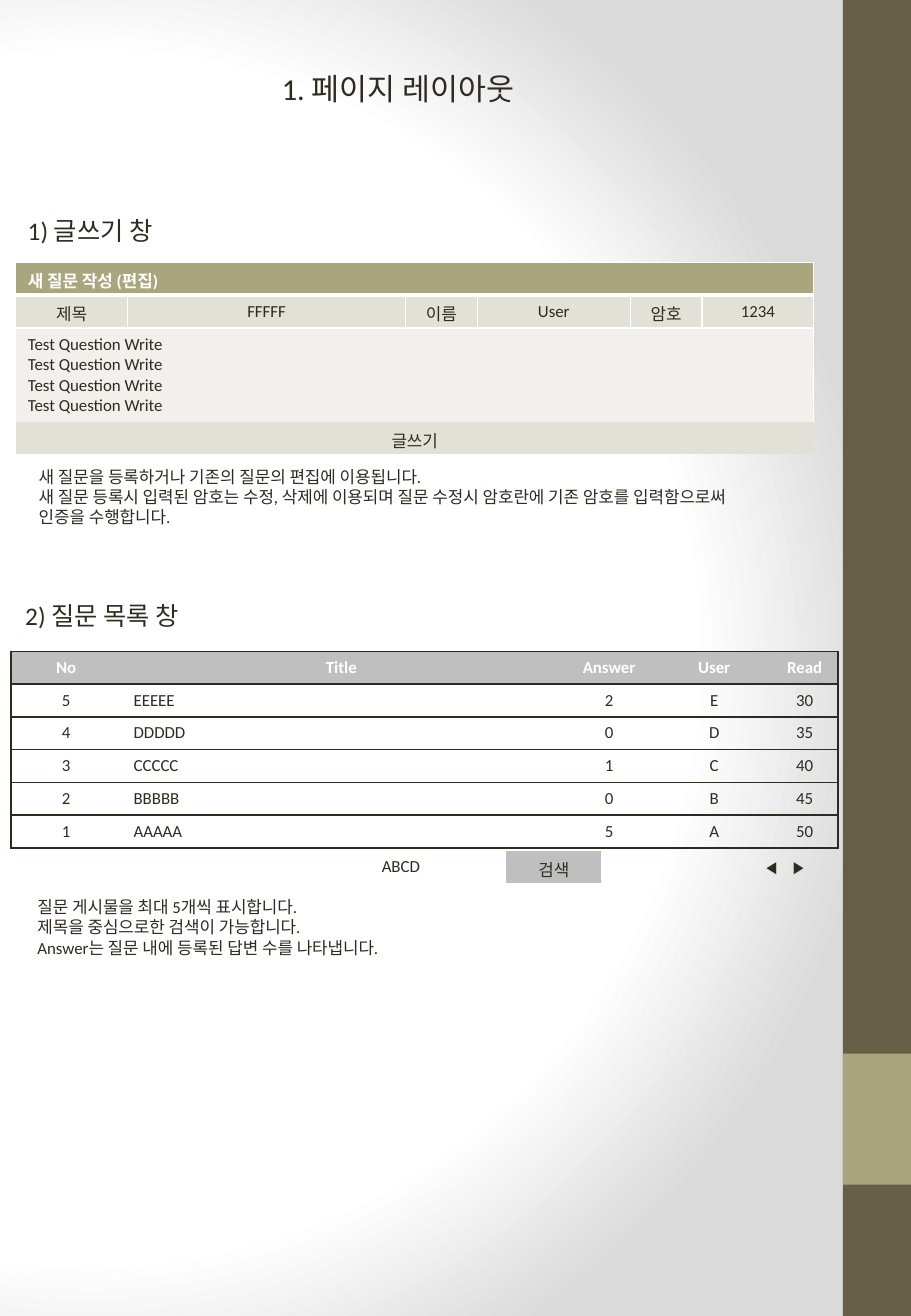
from pptx import Presentation
from pptx.dml.color import RGBColor
from pptx.enum.shapes import MSO_SHAPE
from pptx.enum.text import MSO_ANCHOR, MSO_AUTO_SIZE, PP_ALIGN
from pptx.oxml import parse_xml
from pptx.oxml.ns import nsdecls, qn
from pptx.util import Inches, Pt

COLORS = {"text": "2F2B20", "line": "2E2A1F", "white": "FFFFFF", "shade": "DADADA",
          "brown": "675E47", "olive": "A9A57C", "gray": "BFBFBF",
          "band": "E2E1D7", "pale": "F1F0EC"}
FONT = "Calibri"
NO_STYLE = "{2D5ABB26-0587-4C30-8999-92F81FD0307C}"
ROW = 0.27


def color(name):
    """Return the named colour."""
    return RGBColor.from_string(COLORS[name])


class Page:
    """Holds the text style and the current slide."""

    def __init__(self, slide, size=10):
        """Keep the slide and the default text size."""
        self.slide = slide
        self.size = size

    def background(self):
        """Fill the background with a circular gradient."""
        self.slide.background.fill.solid()
        properties = self.slide.element.find(".//" + qn("p:bgPr"))
        stops = "".join(
            f'<a:gs pos="{position}000"><a:srgbClr val="{COLORS[name]}"/></a:gs>'
            for position, name in ((0, "white"), (75, "white"), (100, "shade")))
        properties.replace(properties[0], parse_xml(
            f'<a:gradFill {nsdecls("a")} rotWithShape="1"><a:gsLst>{stops}</a:gsLst>'
            '<a:path path="circle"><a:fillToRect l="20000" t="50000" r="100000" '
            'b="50000"/></a:path></a:gradFill>'))

    def bar(self, left, top, width, height, fill):
        """Draw a plain filled rectangle."""
        shape = self.slide.shapes.add_shape(
            MSO_SHAPE.RECTANGLE, *map(Inches, (left, top, width, height)))
        shape.shadow.inherit = False
        shape.fill.solid()
        shape.fill.fore_color.rgb = color(fill)
        shape.line.fill.background()

    def set_text(self, frame, text, size=None, align=PP_ALIGN.LEFT, **font):
        """Put styled text into a frame, one paragraph per line."""
        frame.text = text
        style = {"name": FONT, "size": Pt(size or self.size), "bold": False} | font
        ink = style.pop("ink", "text")
        for paragraph in frame.paragraphs:
            paragraph.alignment = align
            for run in paragraph.runs:
                for name, value in style.items():
                    setattr(run.font, name, value)
                run.font.color.rgb = color(ink)

    def place(self, shape, box, text, size=None, wrap=False):
        """Position a text shape and set its text."""
        for name, value in zip(("left", "top", "width", "height"), box):
            setattr(shape, name, Inches(value))
        frame = shape.text_frame
        settings = {"word_wrap": wrap, "vertical_anchor": MSO_ANCHOR.TOP,
                    "auto_size": MSO_AUTO_SIZE.SHAPE_TO_FIT_TEXT}
        for name, value in settings.items():
            setattr(frame, name, value)
        self.set_text(frame, text, size)
        return shape

    def title(self, box, text, size):
        """Move and fill the title placeholder."""
        self.place(self.slide.shapes.title, box, text, size)

    def text(self, box, text, size=None, wrap=False):
        """Add a text box."""
        shape = self.slide.shapes.add_textbox(0, 0, 0, 0)
        return self.place(shape, box, text, size, wrap)

    def pager(self, box, gap):
        """Add the previous and next arrows, set apart by a tab stop."""
        shape = self.text(box, "◀\t▶", wrap=True)
        properties = shape.text_frame.paragraphs[0]._p.get_or_add_pPr()
        properties.append(parse_xml(
            f'<a:tabLst {nsdecls("a")}><a:tab pos="{Inches(gap)}" algn="l"/></a:tabLst>'))

    def border(self, cell, widths, ink):
        """Draw the cell sides given as {side: points}; clear the others."""
        properties = cell._tc.get_or_add_tcPr()
        for side in "LRTB":
            points = widths.get(side, 0)
            fill = (f'<a:solidFill><a:srgbClr val="{COLORS[ink]}"/></a:solidFill>'
                    if points else "<a:noFill/>")
            properties.append(parse_xml(
                f'<a:ln{side} {nsdecls("a")} w="{Pt(points)}">{fill}</a:ln{side}>'))

    def table(self, left, top, widths, heights, rows, fills, edges,
              ink="line", header=True, left_cells=()):
        """Add a table; a row with a single text spans all columns."""
        table = self.slide.shapes.add_table(
            len(rows), len(widths), Inches(left), Inches(top),
            Inches(sum(widths)), Inches(sum(heights))).table
        table._tbl.tblPr.find(qn("a:tableStyleId")).text = NO_STYLE
        table.first_row = table.horz_banding = False
        for column, width in zip(table.columns, widths):
            column.width = Inches(width)
        for row, height in zip(table.rows, heights):
            row.height = Inches(height)
        for r, texts in enumerate(rows):
            if len(texts) < len(widths):
                table.cell(r, 0).merge(table.cell(r, len(widths) - 1))
            for c in range(len(widths)):
                cell = table.cell(r, c)
                self.border(cell, edges(r, c), ink)
                fill = fills(r, c)
                if fill:
                    cell.fill.solid()
                    cell.fill.fore_color.rgb = color(fill)
                if c < len(texts):
                    head = header and r == 0
                    self.set_text(cell.text_frame, texts[c], bold=head,
                                  ink="white" if head else "text",
                                  align=PP_ALIGN.LEFT if (r, c) in left_cells
                                  else PP_ALIGN.CENTER)


def form_edges(r, c):
    """White grid, thick below the heading, none around the button row."""
    if r == 3:
        return {}
    sides = {"L": 1, "R": 1, "T": 3 if r == 1 else 1}
    if r < 2:
        sides["B"] = 1 if r else 3
    return sides


def list_edges(r, c):
    """Lines between rows and around the list."""
    return {"T": 1, "B": 1, "L": int(c == 0), "R": int(c == 4)}


presentation = Presentation()
presentation.slide_width, presentation.slide_height = Inches(7.5), Inches(10.83)
page = Page(presentation.slides.add_slide(presentation.slide_layouts[5]))

page.background()
page.bar(6.94, 0, 0.56, 10.83, "brown")
page.bar(6.94, 8.67, 0.56, 1.08, "olive")
page.title((2.22, 0.53, 2.34, 0.4), "1. 페이지 레이아웃", 18)

page.text((0.13, 1.72, 1.31, 0.35), "1) 글쓰기 창", 15)
form_fills = ("olive", "band", "pale", "band")
page.table(0.13, 2.16, (0.92, 2.29, 0.59, 1.26, 0.59, 0.92), (ROW, ROW, 0.77, ROW),
           [["새 질문 작성 (편집)"],
            ["제목", "FFFFF", "이름", "User", "암호", "1234"],
            ["\n".join(["Test Question Write"] * 4)],
            ["글쓰기"]],
           lambda r, c: form_fills[r], form_edges, ink="white",
           left_cells={(0, 0), (2, 0)})
page.text((0.22, 3.79, 6.4, 0.61),
          "새 질문을 등록하거나 기존의 질문의 편집에 이용됩니다.\n"
          "새 질문 등록시 입력된 암호는 수정, 삭제에 이용되며 질문 수정시 "
          "암호란에 기존 암호를 입력함으로써\n"
          "인증을 수행합니다.")

page.text((0.11, 4.89, 1.57, 0.35), "2) 질문 목록 창", 15)
questions = [["5", "EEEEE", "2", "E", "30"],
             ["4", "DDDDD", "0", "D", "35"],
             ["3", "CCCCC", "1", "C", "40"],
             ["2", "BBBBB", "0", "B", "45"],
             ["1", "AAAAA", "5", "A", "50"]]
page.table(0.09, 5.36, (0.91, 3.62, 0.79, 0.94, 0.55), [ROW] * 6,
           [["No", "Title", "Answer", "User", "Read"]] + questions,
           lambda r, c: None if r else "gray", list_edges,
           left_cells={(r, 1) for r in range(1, 6)})
page.table(2.43, 7, (1.74, 0.78), [ROW], [["ABCD", "검색"]],
           lambda r, c: "gray" if c else None, lambda r, c: {}, header=False)
page.pager((6.21, 7, 0.68, 0.27), 0.22)
page.text((0.21, 7.33, 3.24, 0.61),
          "질문 게시물을 최대 5개씩 표시합니다.\n"
          "제목을 중심으로한 검색이 가능합니다.\n"
          "Answer는 질문 내에 등록된 답변 수를 나타냅니다.")

presentation.save("out.pptx")
